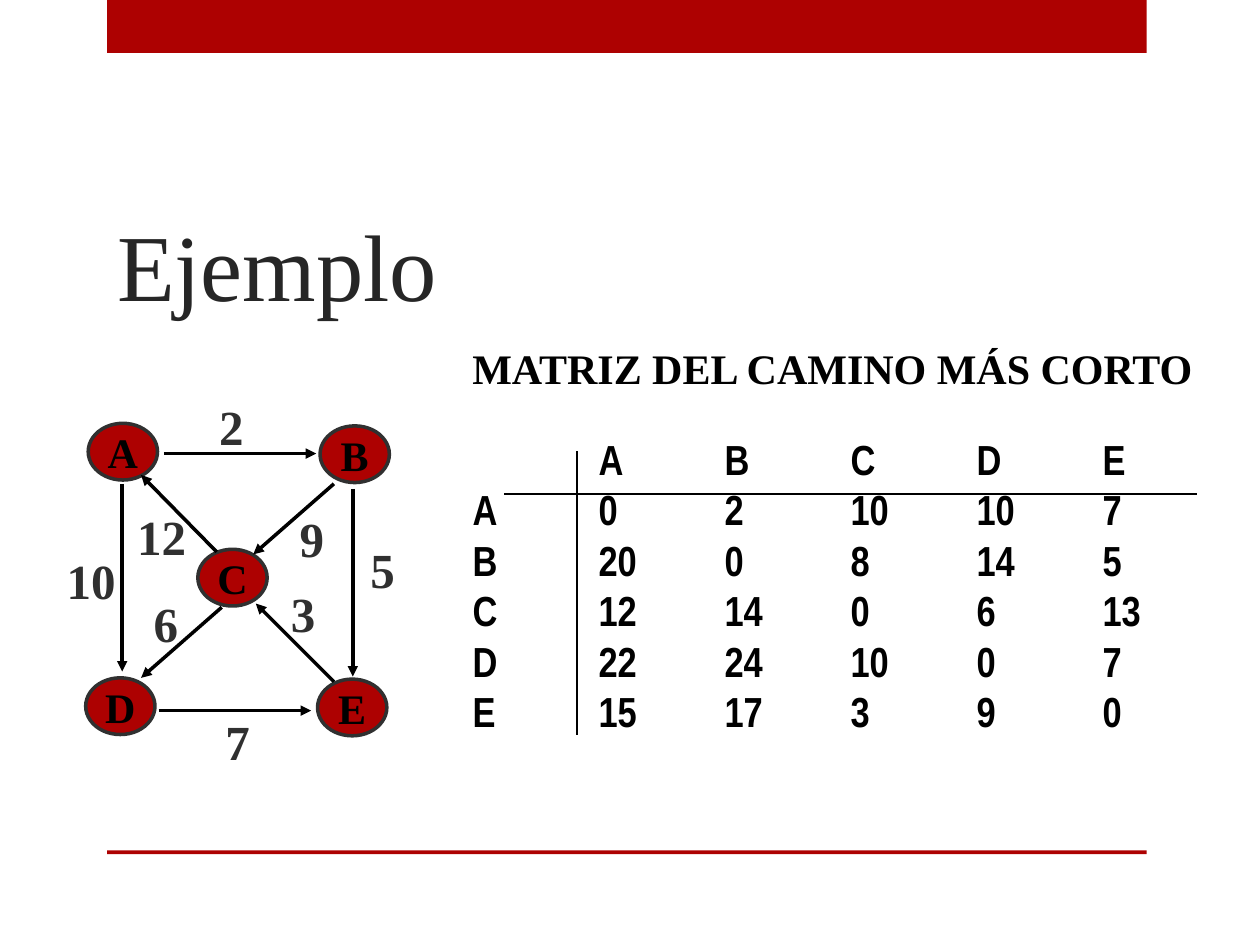
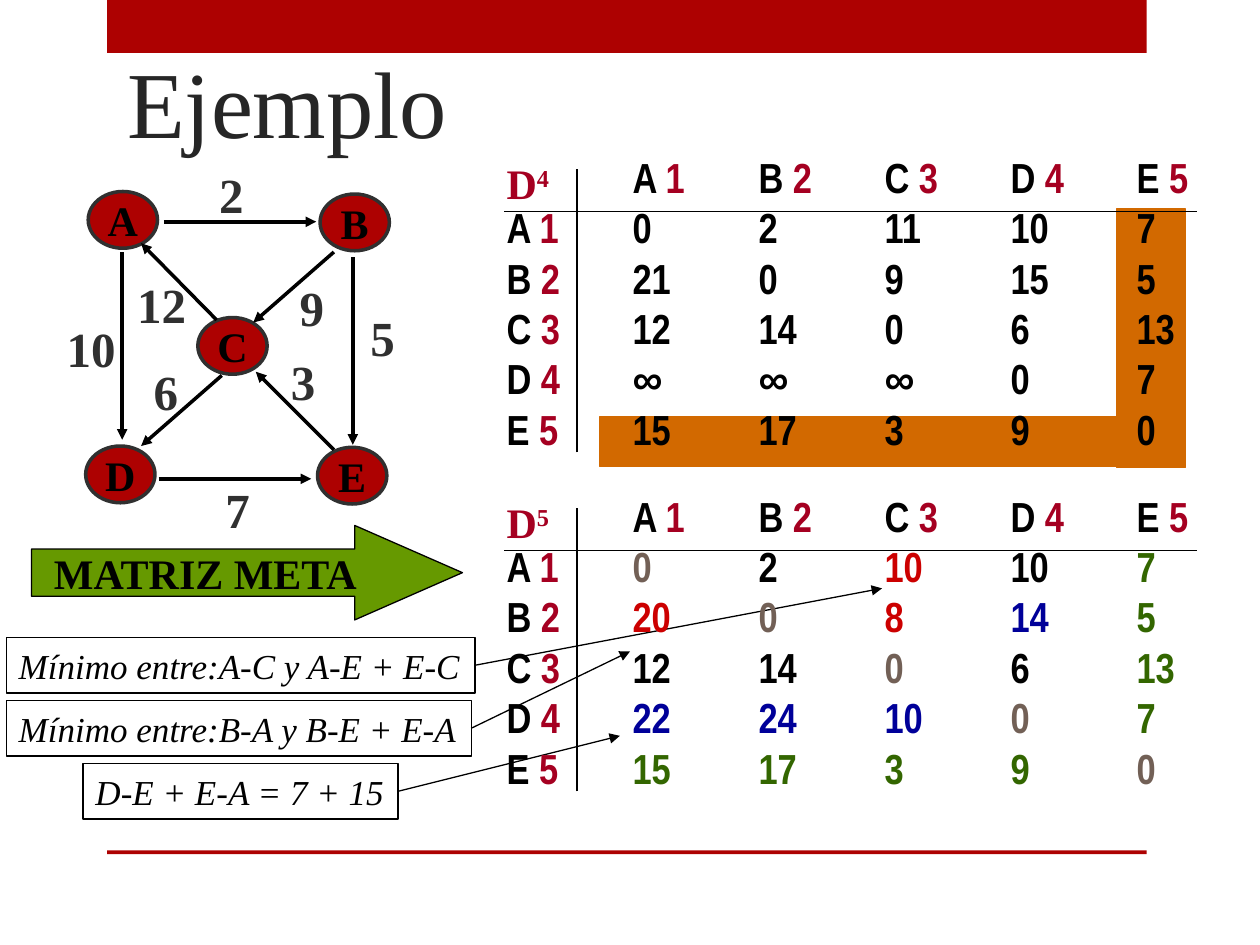
"""Build two slides on the shortest-path matrix of a five-node graph."""
import lxml.etree
import pptx
import pptx.dml.color
import pptx.enum.shapes
import pptx.enum.text
import pptx.oxml.ns
import pptx.util

Inches = pptx.util.Inches
RED, BLACK, CHARCOAL, CRIMSON = "AD0101", "000000", "303030", "A50021"
ORANGE, GREEN, TITLE_GREY = "D26900", "669900", "262626"
SERIF, NARROW = "Times New Roman", "Arial Narrow"
NO_GRID_STYLE = "{2D5ABB26-0587-4C30-8999-92F81FD0307C}"
rgb = pptx.dml.color.RGBColor.from_string
qn = pptx.oxml.ns.qn
SHAPES = pptx.enum.shapes.MSO_SHAPE


def style(font, size, color, name=SERIF, bold=True, italic=False):
    font.size = pptx.util.Pt(size)
    font.color.rgb = rgb(color)
    font.name = name
    font.bold = bold
    font.italic = italic


def draw_line(slide, start, end, width, arrow=False):
    line = slide.shapes.add_connector(
        pptx.enum.shapes.MSO_CONNECTOR.STRAIGHT, *map(Inches, start + end))
    line.line.width = pptx.util.Pt(width)
    line.line.color.rgb = rgb(BLACK)
    properties = line.element.spPr
    if arrow:
        lxml.etree.SubElement(properties.find(qn("a:ln")), qn("a:tailEnd"), type="triangle")
    lxml.etree.SubElement(properties, qn("a:effectLst"))
    return line


prs = pptx.Presentation()
prs.slide_width, prs.slide_height = Inches(10), Inches(7.5)
layout = prs.slide_layouts[5]
result = prs.slides.add_slide(layout)
steps = prs.slides.add_slide(layout)

for number, (top, height) in enumerate([(0, 0.42), (6.75, 0.03)]):
    band = result.shapes.add_shape(SHAPES.RECTANGLE, *map(Inches, (0.85, top, 8.25, height)))
    band.shadow.inherit = False
    band.fill.solid()
    band.fill.fore_color.rgb = rgb(RED)
    band.line.fill.background()
    band.element.nvSpPr.cNvPr.set("id", str(20 + number))
    layout.shapes.element.insert(2 + number, band.element)

for slide, place in [(result, (0.83, 0.84, 7.42, 1.75)), (steps, (0.91, 0.05, 7.68, 1.25))]:
    title = slide.shapes.title
    title.left, title.top, title.width, title.height = map(Inches, place)
    title.text_frame.text = "Ejemplo"
    title.text_frame.auto_size = pptx.enum.text.MSO_AUTO_SIZE.NONE
    title.text_frame.vertical_anchor = pptx.enum.text.MSO_ANCHOR.BOTTOM
    title.text_frame.paragraphs[0].alignment = pptx.enum.text.PP_ALIGN.LEFT
    style(title.text_frame.paragraphs[0].runs[0].font, 54, TITLE_GREY, bold=False)

for preset, place, color, outline in [
    (SHAPES.RECTANGLE, (4.76, 3.31, 4.65, 0.39), ORANGE, ORANGE),
    (SHAPES.RECTANGLE, (8.86, 1.66, 0.55, 2.05), ORANGE, ORANGE),
    (SHAPES.RIGHT_ARROW, (0.25, 4.17, 3.42, 0.75), GREEN, BLACK),
]:
    accent = steps.shapes.add_shape(preset, *map(Inches, place))
    accent.shadow.inherit = False
    accent.fill.solid()
    accent.fill.fore_color.rgb = rgb(color)
    accent.line.color.rgb = rgb(outline)
    accent.line.width = pptx.util.Pt(0.75)
    if preset == SHAPES.RIGHT_ARROW:
        accent.adjustments[0], accent.adjustments[1] = 0.5, 1.14

for text, left, top, width, target in [
    ("Mínimo entre:A-C y A-E + E-C", 0.05, 5.06, 3.72, (7, 4.67)),
    ("Mínimo entre:B-A y B-E + E-A", 0.05, 5.56, 3.69, (5, 5.17)),
    ("D-E + E-A = 7 + 15", 0.66, 6.06, 2.5, (4.92, 5.84)),
]:
    reason = steps.shapes.add_shape(
        SHAPES.RECTANGLE, *map(Inches, (left, top, width, 0.44)))
    reason.shadow.inherit = False
    reason.fill.background()
    reason.line.color.rgb = rgb(BLACK)
    reason.line.width = pptx.util.Pt(0.75)
    reason.text_frame.word_wrap = False
    reason.text_frame.text = text
    reason.text_frame.paragraphs[0].alignment = pptx.enum.text.PP_ALIGN.LEFT
    style(reason.text_frame.paragraphs[0].runs[0].font, 20, BLACK, bold=False, italic=True)
    pointer = draw_line(steps, (left + width, top + 0.22), target, 0.75, arrow=True)
    pointer.begin_connect(reason, 3)

tones = {"k": BLACK, "n": "726056", "r": "CC0000", "b": "000099", "g": "336600"}
plain = ["kkkkk"] * 5
matrices = [
    (result, 3.75, 3.53, "", plain,
     ["0 2 10 10 7", "20 0 8 14 5", "12 14 0 6 13", "22 24 10 0 7", "15 17 3 9 0"]),
    (steps, 4.02, 1.29, "4", plain,
     ["0 2 11 10 7", "21 0 9 15 5", "12 14 0 6 13", "∞ ∞ ∞ 0 7", "15 17 3 9 0"]),
    (steps, 4.02, 3.98, "5", ["nkrkg", "rnrbg", "kknkg", "bbbng", "ggggn"],
     ["0 2 10 10 7", "20 0 8 14 5", "12 14 0 6 13", "22 24 10 0 7", "15 17 3 9 0"]),
]
for slide, left, top, step, shades, values in matrices:
    headings = [[(letter + " ", BLACK), (str(number), CRIMSON)] if step else [(letter, BLACK)]
                for number, letter in enumerate("ABCDE", 1)]
    corner = [("D", CRIMSON), (step, CRIMSON)] if step else []
    grid = [[corner] + headings]
    for heading, row, shade in zip(headings, values, shades):
        grid.append([heading] + [[(value, tones[tone])] for value, tone in zip(row.split(), shade)])

    frame = slide.shapes.add_table(6, 6, *map(Inches, (left, top, 5.6, 2.4)))
    next(frame.element.iter(qn("a:tableStyleId"))).text = NO_GRID_STYLE
    matrix = frame.table
    matrix.first_row = matrix.horz_banding = False
    for column, width in zip(matrix.columns, [1] * 5 + [0.6]):
        column.width = Inches(width)
    for r, row in enumerate(grid):
        matrix.rows[r].height = Inches(0.4)
        for c, pieces in enumerate(row):
            cell = matrix.cell(r, c)
            cell.fill.background()
            cell.margin_left = cell.margin_right = cell.margin_top = cell.margin_bottom = 0
            for text, color in pieces:
                run = cell.text_frame.paragraphs[0].add_run()
                run.text = text
                style(run.font, 24, color, NARROW if r or c else SERIF)
    if step:
        exponent = matrix.cell(0, 0).text_frame.paragraphs[0].runs[1]
        exponent.font._element.set("baseline", "30000")
    draw_line(slide, (4, top + 0.39), (9.5, top + 0.39), 0.75)
    draw_line(slide, (4.58, top + 2.3), (4.58, top + 0.05), 0.75)

nodes = [("A", 0.7, 0), ("B", 2.54, 0.02), ("C", 1.57, 1), ("D", 0.68, 2.02), ("E", 2.52, 2.03)]
edges = [
    ((1.3, 0.24), (2.51, 0.24), "2", (1.64, -0.26)),
    ((1.26, 2.28), (2.47, 2.28), "7", (1.69, 2.24)),
    ((2.8, 0.52), (2.8, 2.01), "5", (2.84, 0.87)),
    ((0.97, 0.48), (0.97, 1.97), "10", (0.43, 0.96)),
    ((1.76, 1.46), (1.12, 2.02), "6", (1.12, 1.3)),
    ((2.65, 0.48), (2.01, 1.04), "9", (2.28, 0.63)),
    ((1.72, 1.02), (1.12, 0.41), "12", (0.99, 0.61)),
    ((2.65, 2.05), (2.03, 1.43), "3", (2.21, 1.22)),
]
captions = [
    (result, "MATRIZ DEL CAMINO MÁS CORTO", (3.65, 2.67, 5.98, 0.5), 24, BLACK),
    (steps, "MATRIZ META", (0.33, 4.3, 2.66, 0.5), 24, BLACK),
]
for slide, graph_top in [(result, 3.36), (steps, 1.52)]:
    for letter, x, y in nodes:
        node = slide.shapes.add_shape(
            SHAPES.OVAL, *map(Inches, (x, graph_top + y, 0.55, 0.45)))
        node.shadow.inherit = False
        node.fill.solid()
        node.fill.fore_color.rgb = rgb(RED)
        node.line.color.rgb = rgb(CHARCOAL)
        node.line.width = pptx.util.Pt(2)
        node.text_frame.word_wrap = False
        node.text_frame.vertical_anchor = pptx.enum.text.MSO_ANCHOR.MIDDLE
        node.text_frame.text = letter
        node.text_frame.paragraphs[0].alignment = pptx.enum.text.PP_ALIGN.CENTER
        style(node.text_frame.paragraphs[0].runs[0].font, 24, BLACK)
    for (x1, y1), (x2, y2), weight, (x, y) in edges:
        draw_line(slide, (x1, graph_top + y1), (x2, graph_top + y2), 2, arrow=True)
        place = (x, graph_top + y, 0.19 + 0.2 * len(weight), 0.56)
        captions.append((slide, weight, place, 28, CHARCOAL))

for slide, text, place, size, color in captions:
    caption = slide.shapes.add_textbox(*map(Inches, place)).text_frame
    caption.word_wrap = False
    caption.text = text
    style(caption.paragraphs[0].runs[0].font, size, color)

prs.save("out.pptx")
